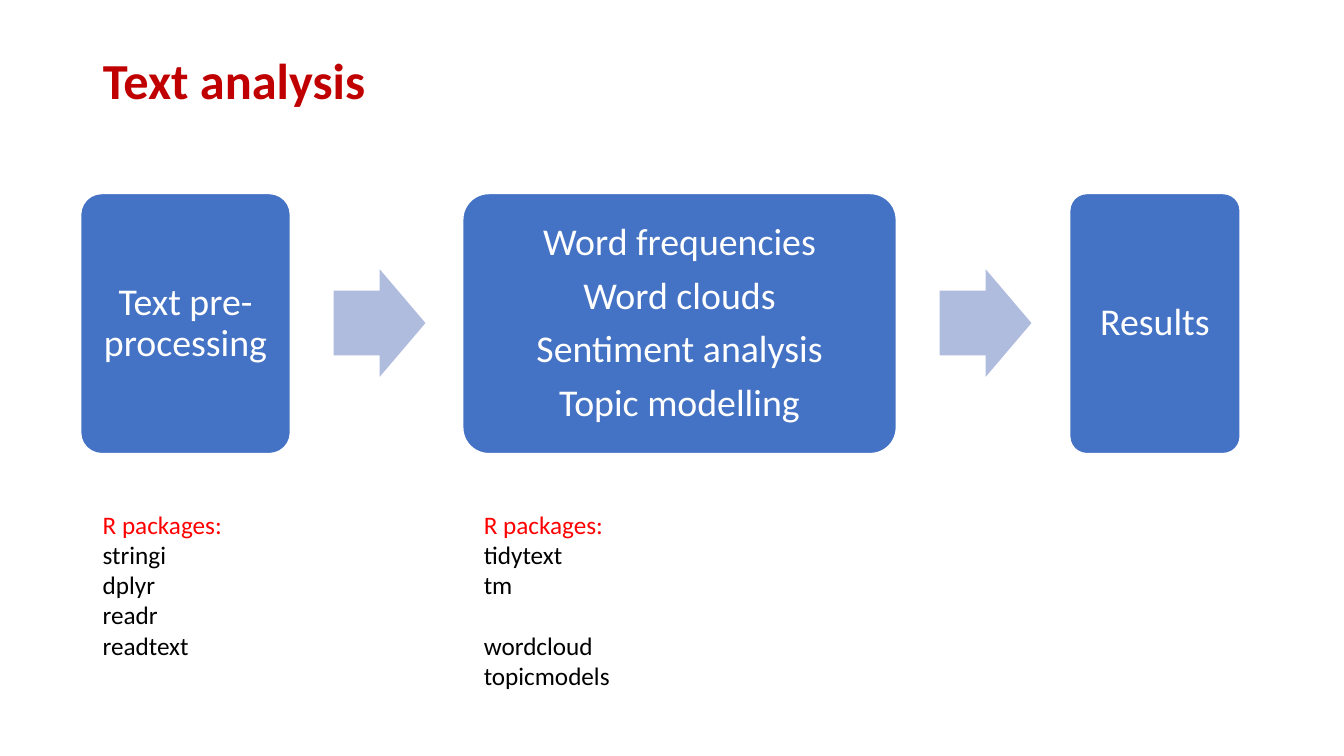
from pptx import Presentation
from pptx import util as u
from pptx.dml.color import RGBColor
from pptx.enum import shapes, text

PX = 9144
FONT = "Calibri"
HUES = {"title": "C00000", "card": "4472C4", "arrow": "B0BCDE",
        "head": "FF0000", "body": "000000", "white": "FFFFFF"}
CARDS = [
    (80, 208, ["Text pre-processing"]),
    (459, 430, ["Word frequencies", "Word clouds", "Sentiment analysis", "Topic modelling"]),
    (1061, 169, ["Results"]),
]
ARROWS = [331, 932]
LISTS = [
    (92, [("stringi", 0), ("dplyr", 0), ("readr", 0), ("readtext", 0)], 192),
    (470, [("tidytext", 0), ("tm", 0), ("wordcloud topicmodels", 22)], 283),
]


def px(*nums):
    return [u.Emu(n * PX) for n in nums]


def hue(name):
    return RGBColor.from_string(HUES[name])


def style(para, size, color, bold=False):
    font = para.font
    font.name, font.size, font.bold = FONT, u.Pt(size), bold
    font.color.rgb = hue(color)


def fill(frame, lines):
    for i, line in enumerate(lines):
        para = frame.paragraphs[0] if i == 0 else frame.add_paragraph()
        para.text = line
        yield i, para


def block(slide, kind, box, color):
    shape = slide.shapes.add_shape(kind, *px(*box))
    shape.shadow.inherit = False
    shape.fill.solid()
    shape.fill.fore_color.rgb = hue(color)
    return shape


def title(slide, box, words):
    head = slide.shapes.title
    head.left, head.top, head.width, head.height = px(*box)
    frame = head.text_frame
    frame.text = words
    frame.vertical_anchor = text.MSO_ANCHOR.MIDDLE
    para = frame.paragraphs[0]
    para.alignment = text.PP_ALIGN.LEFT
    para.line_spacing = 0.9
    style(para, 36, "title", True)


def card(slide, box, lines):
    shape = block(slide, shapes.MSO_SHAPE.ROUNDED_RECTANGLE, box, "card")
    shape.adjustments[0] = 0.1
    shape.line.color.rgb = hue("white")
    shape.line.width = u.Pt(1)
    frame = shape.text_frame
    frame.word_wrap = True
    frame.vertical_anchor = text.MSO_ANCHOR.MIDDLE
    frame.margin_left = frame.margin_right = px(11)[0]
    frame.margin_top = frame.margin_bottom = px(11)[0]
    for i, para in fill(frame, lines):
        para.alignment = text.PP_ALIGN.CENTER
        para.line_spacing = 0.9
        if i:
            para.space_before = u.Pt(9)
        style(para, 27, "white")


def arrow(slide, box):
    shape = block(slide, shapes.MSO_SHAPE.RIGHT_ARROW, box, "arrow")
    shape.adjustments[0] = 0.6
    shape.line.fill.background()


def flow(slide, top, high):
    for left, wide, lines in CARDS:
        card(slide, (left, top, wide, high), lines)
    for left in ARROWS:
        arrow(slide, (left, top + (high - 107) // 2, 91, 107))


def tools(slide, box, names):
    frame = slide.shapes.add_textbox(*px(*box)).text_frame
    frame.word_wrap = True
    rows = [("R packages:", 0)] + names
    for i, para in fill(frame, [name for name, gap in rows]):
        if rows[i][1]:
            para.space_before = u.Pt(rows[i][1])
        style(para, 18, "body" if i else "head")


def main():
    deck = Presentation()
    deck.slide_width, deck.slide_height = px(1333, 750)
    slide = deck.slides.add_slide(deck.slide_layouts[5])
    title(slide, (92, 40, 1150, 86), "Text analysis")
    flow(slide, 192, 258)
    for left, names, high in LISTS:
        tools(slide, (left, 500, 197, high), names)
    deck.save("out.pptx")


if __name__ == "__main__":
    main()
